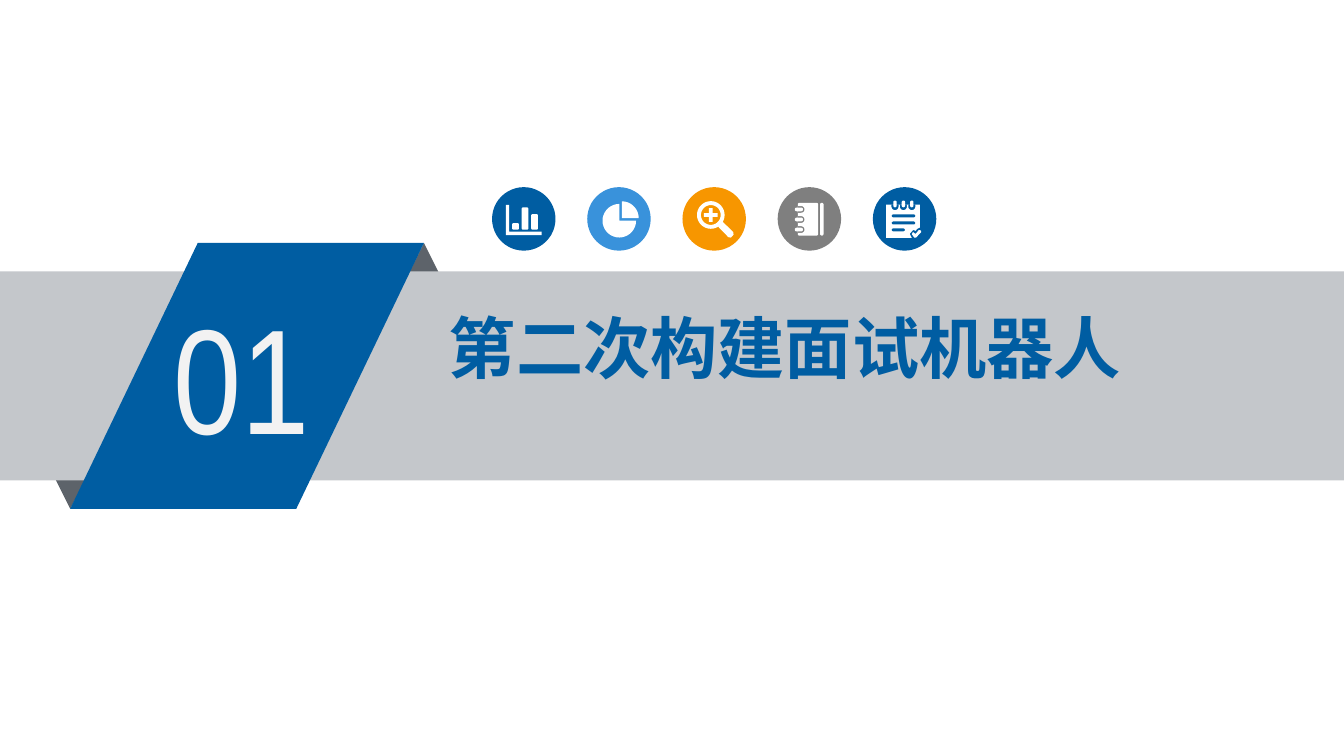
from math import cos, radians, sin

from pptx import Presentation
from pptx.dml.color import RGBColor
from pptx.enum.shapes import MSO_SHAPE
from pptx.enum.text import MSO_ANCHOR, MSO_AUTO_SIZE, PP_ALIGN
from pptx.oxml.xmlchemy import OxmlElement
from pptx.util import Pt

RECTANGLE = MSO_SHAPE.RECTANGLE
TRIANGLE = MSO_SHAPE.ISOSCELES_TRIANGLE
PARALLELOGRAM = MSO_SHAPE.PARALLELOGRAM
OVAL = MSO_SHAPE.OVAL
TOP = MSO_ANCHOR.TOP
LEFT = PP_ALIGN.LEFT
NO_AUTOFIT = MSO_AUTO_SIZE.NONE

COLORS = {
    "white": "FFFFFF", "number": "F2F2F2", "blue": "005DA2", "sky": "3992DB",
    "orange": "F79600", "gray": "7F7F7F", "band": "C4C7CB", "fold": "5D636A",
}
SLIDE_WIDTH, SLIDE_HEIGHT = 720, 405
UNITS = 100  # outline units in a point


def color(name):
    return RGBColor.from_string(COLORS[name])


def paint(shape, fill):
    shape.fill.solid()
    shape.fill.fore_color.rgb = color(fill)
    shape.line.fill.background()
    shape.shadow.inherit = False
    return shape


def add_block(slide, kind, box, fill):
    return paint(slide.shapes.add_shape(kind, *map(Pt, box)), fill)


def write_text(shape, text, box, *, size, font, fill, bold=False, inset=5):
    shape.left, shape.top, shape.width, shape.height = map(Pt, box)
    frame = shape.text_frame
    frame.word_wrap = True
    frame.auto_size = NO_AUTOFIT
    frame.vertical_anchor = TOP
    frame.margin_left = frame.margin_right = Pt(inset)
    frame.margin_top = frame.margin_bottom = Pt(3)
    paragraph = frame.paragraphs[0]
    paragraph.alignment = LEFT
    run = paragraph.add_run()
    run.text = text
    run.font.size = Pt(size)
    run.font.bold = bold
    run.font.color.rgb = color(fill)
    run.font.name = font
    east_asian = OxmlElement("a:ea")
    east_asian.set("typeface", font)
    run.font._element.append(east_asian)


# Outlines: lists of points, measured from the corner of an icon's disc
def arc(x, y, radius, start, end):
    steps = max(4, abs(end - start) // 10)
    angles = [radians(start + (end - start) * i / steps) for i in range(steps + 1)]
    return [(x + radius * cos(a), y + radius * sin(a)) for a in angles]


def rounded(left, top, right, bottom, radius=0.8):
    corners = [(right - radius, bottom - radius), (left + radius, bottom - radius),
               (left + radius, top + radius), (right - radius, top + radius)]
    return [point for i, (x, y) in enumerate(corners)
            for point in arc(x, y, radius, 90 * i, 90 * i + 90)]


def chart_icon():
    axes = [(7.4, 9.4), (9.2, 9.4), (9.2, 23.8), (26.6, 23.8), (26.6, 25.7), (7.4, 25.7)]
    bars = [rounded(10.8 + 5.1 * i, top, 14.4 + 5.1 * i, 22.8)
            for i, top in enumerate((19.2, 10.8, 14.4))]
    return [axes] + bars


def pie_icon():
    return [[(17.2, 18)] + arc(17.2, 18, 9, 0, 270),
            [(18.6, 16.6)] + arc(18.6, 16.6, 9, -90, 0)]


def magnifier_icon():
    x, y, arm, half = 15.2, 14.9, 3.7, 1
    plus = [(x + dx, y + dy) for dx, dy in (
        (-half, -arm), (half, -arm), (half, -half), (arm, -half), (arm, half), (half, half),
        (half, arm), (-half, arm), (-half, half), (-arm, half), (-arm, -half), (-half, -half))]
    handle = [(21.6, 18.6), (27.2, 24), (27.4, 25.4), (26, 27), (24.6, 26.8),
              (19.2, 21.2), (20.5, 20.2)]
    return [arc(x, y, 7.4, 0, 360), arc(x, y, 5.3, 0, 360), plus, handle]


def notebook_icon():
    outlines = [rounded(10.8, 8.4, 21.7, 25.9), rounded(22.8, 8.4, 24.6, 25.9)]
    for y in (11.9, 17.3, 22.7):
        outlines.append([(10.8, y - 1.8)] + arc(12.6, y, 1.8, -90, 90) + [(10.8, y + 1.8)])
        outlines.append(rounded(9.2, y - 1, 13.6, y + 1, 1))
    return outlines


def checklist_icon():
    page = [(7.2, 9.4), (25.2, 9.4), (25.2, 21.6), (23.8, 22.3), (23, 23.4),
            (21.6, 22.9), (19.8, 25), (20.9, 27.2), (7.2, 27.2)]
    tick = [(25.9, 24.1), (23.2, 27), (22.2, 27), (20.9, 25.2), (21.5, 24),
            (22.9, 25.1), (24.6, 23), (25.8, 23.2)]
    lines = [rounded(10.1, y, right, y + 1.6)
             for y, right in ((14.6, 22.8), (18.4, 22.8), (22.1, 17.2))]
    outlines = [page, tick] + lines
    for x in (11.9, 16.4, 20.9):
        outlines.append([(x + 1.9, 9.4)] + arc(x, 10.4, 1.9, 0, 180) + [(x - 1.9, 9.4)])
        outlines.append(rounded(x - 0.9, 7.2, x + 0.9, 10.8, 0.9))
    return outlines


def add_outlines(slide, left, top, outlines, fill):
    scaled = [[(x * UNITS, y * UNITS) for x, y in outline] for outline in outlines]
    builder = slide.shapes.build_freeform(*scaled[0][0], scale=Pt(1) / UNITS)
    for i, outline in enumerate(scaled):
        if i:
            builder.move_to(*outline[0])
        builder.add_line_segments(outline[1:], close=True)
    return paint(builder.convert_to_shape(Pt(left), Pt(top)), fill)


def add_icon_row(slide, left, top, size, step):
    icons = [("blue", chart_icon), ("sky", pie_icon), ("orange", magnifier_icon),
             ("gray", notebook_icon), ("blue", checklist_icon)]
    for i, (fill, icon) in enumerate(icons):
        x = left + i * step
        add_block(slide, OVAL, (x, top, size, size), fill)
        add_outlines(slide, x, top, icon(), "white")


def add_ribbon(slide, left, top, width, height, number):
    fold, overlap = 65, 15.2
    # Folded corners behind the band
    add_block(slide, TRIANGLE, (left + width - fold / 2, top, fold, fold), "fold")
    corner = add_block(slide, TRIANGLE,
                       (left - fold / 2, top + height - fold, fold, fold), "fold")
    corner.rotation = 180
    # Band across the slide, with the numbered ribbon on top
    add_block(slide, RECTANGLE,
              (0, top + overlap, SLIDE_WIDTH, height - 2 * overlap), "band")
    ribbon = add_block(slide, PARALLELOGRAM, (left, top, width, height), "blue")
    ribbon.adjustments[0] = 0.48
    label = slide.shapes.add_textbox(0, 0, 0, 0)
    write_text(label, number, (left + 50.2, top + 19.5, 104.4, 102),
               size=80, font="Arial Narrow", fill="number")


def add_section_slide(presentation, number, title):
    slide = presentation.slides.add_slide(presentation.slide_layouts[5])
    slide.background.fill.solid()
    slide.background.fill.fore_color.rgb = color("white")
    add_ribbon(slide, 37.6, 130.2, 189.5, 142.4, number)
    write_text(slide.shapes.title, title, (234.7, 161.3, 478.8, 49),
               size=36, font="Noto Sans CJK SC", fill="blue", bold=True, inset=5.8)
    # The title stands in front of the band
    slide.shapes._spTree.append(slide.shapes.title._element)
    add_icon_row(slide, 263.6, 100.3, 34, 51)


def main():
    presentation = Presentation()
    presentation.slide_width = Pt(SLIDE_WIDTH)
    presentation.slide_height = Pt(SLIDE_HEIGHT)
    add_section_slide(presentation, "01", "第二次构建面试机器人")
    presentation.save("out.pptx")


if __name__ == "__main__":
    main()
